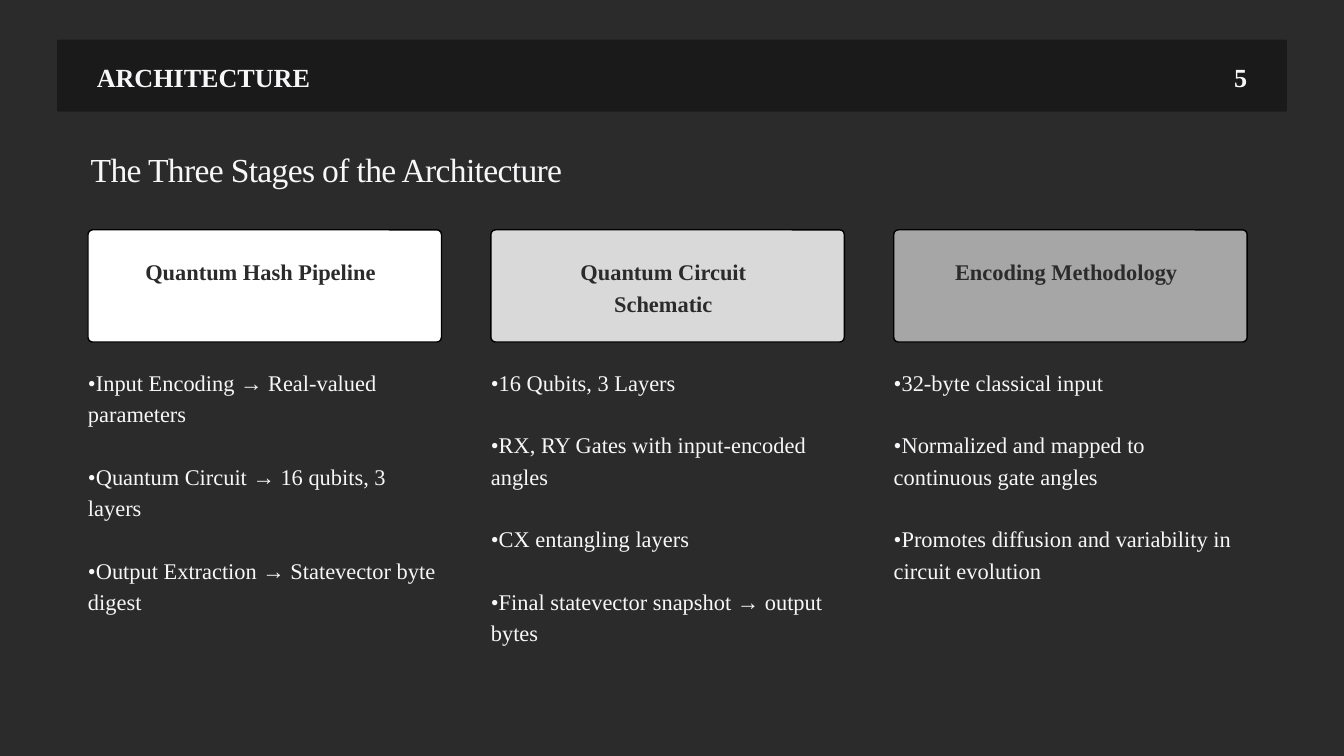
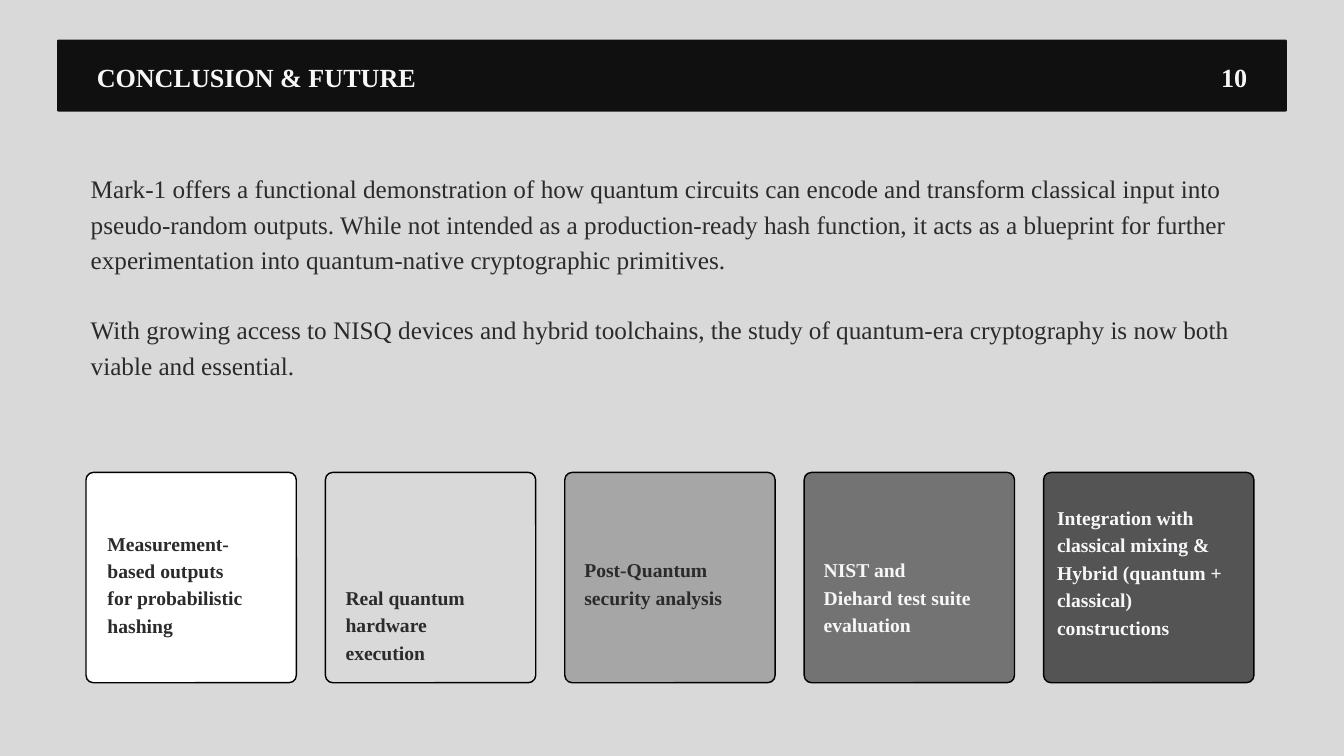
from dataclasses import dataclass

from lxml import etree
from pptx import Presentation
from pptx.dml.color import RGBColor
from pptx.enum import shapes, text
from pptx.oxml.ns import qn
from pptx.util import Inches, Pt


@dataclass(frozen=True)
class Theme:
    font: str = "Times New Roman"
    dark: str = "2B2B2B"
    light: str = "F7F7F9"
    band: str = "101010"
    outline: str = "000000"
    greys: tuple = ("FFFFFF", "D9D9D9", "A6A6A6", "737373", "545454")
    title: int = 36
    header: int = 28
    body: int = 27
    column: int = 24
    card: int = 21
    leading: float = 1.4


def spread(first, last, count):
    """Left edges of equally spaced cards."""
    return [first + i * (last - first) / (count - 1) for i in range(count)]


class Deck:
    """Holds the theme and the slide being built."""

    def __init__(self, theme):
        self.theme = theme
        self.prs = Presentation()
        self.prs.slide_width = Inches(20)
        self.prs.slide_height = Inches(11.25)
        self.s = None

    def slide(self, color):
        self.s = self.prs.slides.add_slide(self.prs.slide_layouts[6])
        fill = self.s.background.fill
        fill.solid()
        fill.fore_color.rgb = RGBColor.from_string(color)

    def box(self, x, y, w, h, color, radius, outlined=True, opacity=100):
        sp = self.s.shapes.add_shape(
            shapes.MSO_SHAPE.ROUNDED_RECTANGLE,
            Inches(x), Inches(y), Inches(w), Inches(h))
        sp.adjustments[0] = radius / min(w, h)
        sp.shadow.inherit = False
        sp.fill.solid()
        sp.fill.fore_color.rgb = RGBColor.from_string(color)
        if opacity < 100:
            clr = sp._element.spPr.find(qn("a:solidFill"))[0]
            etree.SubElement(clr, qn("a:alpha"), val=str(opacity * 1000))
        if outlined:
            sp.line.color.rgb = RGBColor.from_string(self.theme.outline)
            sp.line.width = Pt(1.5)
        else:
            sp.line.fill.background()

    def text(self, x, y, w, h, lines, size, color, bold=False, align="LEFT",
             leading=None, tracking=0):
        tf = self.s.shapes.add_textbox(
            Inches(x), Inches(y), Inches(w), Inches(h)).text_frame
        tf.margin_left = tf.margin_right = tf.margin_top = tf.margin_bottom = 0
        tf.word_wrap = True
        tf.auto_size = text.MSO_AUTO_SIZE.SHAPE_TO_FIT_TEXT
        tf.text = "\n".join(lines)
        spacing = Pt(size * (leading or self.theme.leading))
        for i, p in enumerate(tf.paragraphs):
            p.alignment = text.PP_ALIGN[align]
            p.line_spacing = spacing
            if i:
                p.space_before = spacing  # one empty line between paragraphs
            for r in p.runs:
                r.font.name = self.theme.font
                r.font.size = Pt(size)
                r.font.bold = bold
                r.font.color.rgb = RGBColor.from_string(color)
                if tracking:
                    r._r.get_or_add_rPr().set("spc", str(int(tracking * 100)))

    def header(self, title, number, opacity=100):
        t = self.theme
        self.box(0.85, 0.59, 18.3, 1.07, t.band, 0.02, False, opacity)
        self.text(1.44, 0.83, 11.6, 0.53, [title], t.header, t.light, True)
        self.text(17.45, 0.83, 1.11, 0.53, [str(number)], t.header, t.light,
                  True, "RIGHT")


def architecture(deck):
    t = deck.theme
    deck.slide(t.dark)
    deck.header("ARCHITECTURE", 5, opacity=60)
    deck.text(1.35, 2.22, 14.76, 0.6, ["The Three Stages of the Architecture"],
              t.title, t.light, leading=1.2, tracking=-0.7)

    # Three stages: heading, height of the list, points
    stages = [
        ("Quantum Hash Pipeline", 4.1, [
            "•Input Encoding → Real-valued parameters",
            "•Quantum Circuit → 16 qubits, 3 layers",
            "•Output Extraction → Statevector byte digest"]),
        ("Quantum Circuit Schematic", 4.56, [
            "•16 Qubits, 3 Layers",
            "•RX, RY Gates with input-encoded angles",
            "•CX entangling layers",
            "•Final statevector snapshot → output bytes"]),
        ("Encoding Methodology", 3.18, [
            "•32-byte classical input",
            "•Normalized and mapped to continuous gate angles",
            "•Promotes diffusion and variability in circuit evolution"]),
    ]
    width = 5.26
    lefts = spread(1.31, 13.3, len(stages))
    for x, grey, (heading, height, points) in zip(lefts, t.greys, stages):
        deck.box(x, 3.42, width, 1.67, grey, 0.07)
        deck.text(x + 0.72, 3.78, 3.69, 1.35, [heading], t.column, t.dark,
                  True, "CENTER")
        deck.text(x, 5.42, width, height, points, t.column, t.light)


def conclusion(deck):
    t = deck.theme
    deck.slide(t.greys[1])
    deck.header("CONCLUSION & FUTURE", 10)
    deck.text(1.35, 2.51, 17.3, 3.62, [
        "Mark-1 offers a functional demonstration of how quantum circuits can "
        "encode and transform classical input into pseudo-random outputs. "
        "While not intended as a production-ready hash function, it acts as a "
        "blueprint for further experimentation into quantum-native "
        "cryptographic primitives.",
        "With growing access to NISQ devices and hybrid toolchains, the study "
        "of quantum-era cryptography is now both viable and essential.",
    ], t.body, t.dark)

    # Future directions: label, its inset from the card, top, width, height
    directions = [
        ("Measurement-based outputs for probabilistic hashing",
         0.32, 7.85, 2.16, 2.01),
        ("Real quantum hardware execution", 0.3, 8.66, 2.19, 1.2),
        ("Post-Quantum security analysis", 0.29, 8.25, 2.19, 1.61),
        ("NIST and Diehard test suite evaluation", 0.29, 8.25, 2.19, 1.61),
        ("Integration with classical mixing & Hybrid (quantum + classical) "
         "constructions", 0.2, 7.47, 2.71, 2.42),
    ]
    side = 3.13
    lefts = spread(1.28, 15.53, len(directions))
    for i, (x, direction) in enumerate(zip(lefts, directions)):
        label, inset, top, w, h = direction
        deck.box(x, 7.03, side, side, t.greys[i], 0.11)
        color = t.dark if i < 3 else t.light
        deck.text(x + inset, top, w, h, [label], t.card, color, True)


def main():
    deck = Deck(Theme())
    architecture(deck)
    conclusion(deck)
    deck.prs.save("out.pptx")


if __name__ == "__main__":
    main()
